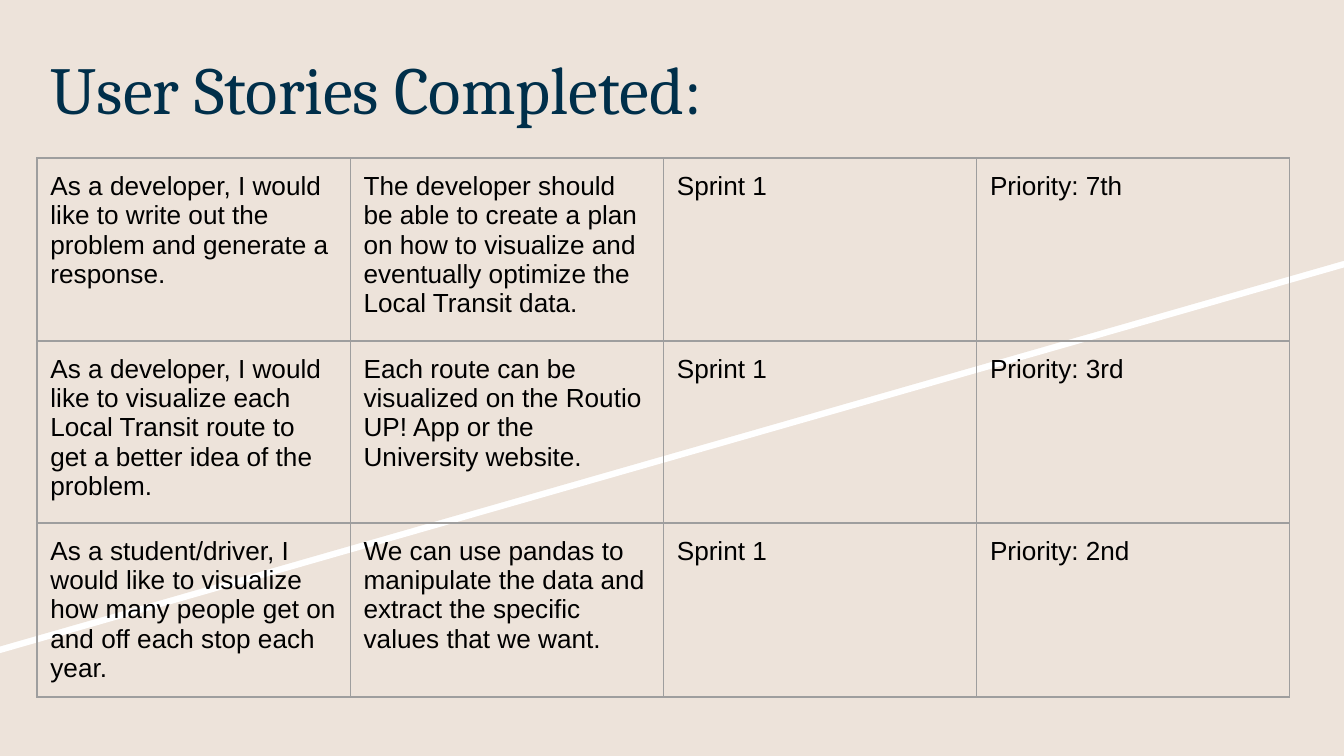
"""Build the completed user stories slide."""
import dataclasses
import typing

import lxml.etree
import pptx
import pptx.dml.color
import pptx.enum.text
import pptx.oxml.ns
import pptx.util

Pt = pptx.util.Pt
RGB = pptx.dml.color.RGBColor


@dataclasses.dataclass(frozen=True)
class Theme:
    """Colours, fonts and type sizes."""

    background: str = "EDE3DA"
    band: str = "FFFFFF"
    title: str = "002F4A"
    text: str = "000000"
    border: str = "9E9E9E"
    title_font: str = "Cambria"
    text_font: str = "Arial"
    title_size: float = 36
    text_size: float = 14
    border_width: float = 0.75
    inset: float = 7.2


@dataclasses.dataclass(frozen=True)
class Panel:
    """A full-width panel with a slanted lower edge."""

    top: float
    color: str


class Story(typing.NamedTuple):
    """One table row."""

    story: str
    criterion: str
    sprint: str
    priority: str


THEME = Theme()
SLIDE_WIDTH, SLIDE_HEIGHT = 720, 405
PANEL_RIGHT_HEIGHT, PANEL_LEFT_HEIGHT = 139.7, 346.3
PANELS = [Panel(3.6, THEME.band), Panel(0, THEME.background)]
TITLE_BOX = {"left": 19.9, "top": 16.6, "width": 671, "height": 60.5}
TABLE_LEFT, TABLE_TOP, COLUMN_WIDTH = 19.8, 84.7, 167.8
ROW_HEIGHTS = [98, 97.5, 93.2]
STORIES = [
    Story("As a developer, I would like to write out the problem and generate a response.",
          "The developer should be able to create a plan on how to visualize and "
          "eventually optimize the Local Transit data.",
          "Sprint 1", "Priority: 7th"),
    Story("As a developer, I would like to visualize each Local Transit route to get "
          "a better idea of the problem.",
          "Each route can be visualized on the Routio UP! App or the University website.",
          "Sprint 1", "Priority: 3rd"),
    Story("As a student/driver, I would like to visualize how many people get on and "
          "off each stop each year.",
          "We can use pandas to manipulate the data and extract the specific values "
          "that we want.",
          "Sprint 1", "Priority: 2nd"),
]


def set_attributes(target: typing.Any, values: dict[str, typing.Any]) -> None:
    """Set each named attribute on the target."""
    for name, value in values.items():
        setattr(target, name, value)


def format_font(paragraph: typing.Any, name: str, size: float, color: str) -> None:
    """Apply a regular font to a paragraph's runs."""
    for run in paragraph.runs:
        set_attributes(run.font, {"name": name, "size": Pt(size), "bold": False})
        run.font.color.rgb = RGB.from_string(color)


def inset_values(names: typing.Iterable[str]) -> dict[str, int]:
    """Return the common inset for each margin name."""
    return {name: Pt(THEME.inset) for name in names}


MARGINS = inset_values(["margin_left", "margin_top", "margin_right", "margin_bottom"])


def draw_panel(slide: typing.Any, panel: Panel) -> None:
    """Draw one slanted panel."""
    builder = slide.shapes.build_freeform(0, Pt(panel.top))
    builder.add_line_segments([
        (Pt(SLIDE_WIDTH), Pt(panel.top)),
        (Pt(SLIDE_WIDTH), Pt(panel.top + PANEL_RIGHT_HEIGHT)),
        (0, Pt(panel.top + PANEL_LEFT_HEIGHT)),
    ])
    shape = builder.convert_to_shape()
    shape.shadow.inherit = False
    shape.fill.solid()
    shape.fill.fore_color.rgb = RGB.from_string(panel.color)
    shape.line.fill.background()


def draw_title(slide: typing.Any, text: str) -> None:
    """Place the title in front of the panels."""
    title = slide.shapes.title
    title.element.getparent().append(title.element)
    set_attributes(title, {name: Pt(value) for name, value in TITLE_BOX.items()})
    frame = title.text_frame
    frame.text = text
    set_attributes(frame, MARGINS | {
        "word_wrap": True,
        "auto_size": pptx.enum.text.MSO_AUTO_SIZE.NONE,
        "vertical_anchor": pptx.enum.text.MSO_ANCHOR.MIDDLE,
    })
    paragraph = frame.paragraphs[0]
    paragraph.alignment = pptx.enum.text.PP_ALIGN.LEFT
    format_font(paragraph, THEME.title_font, THEME.title_size, THEME.title)


def draw_borders(cell: typing.Any) -> None:
    """Outline all four sides of a cell."""
    qn = pptx.oxml.ns.qn
    properties = cell._tc.get_or_add_tcPr()
    for index, side in enumerate(("a:lnL", "a:lnR", "a:lnT", "a:lnB")):
        line = lxml.etree.Element(qn(side), w=str(Pt(THEME.border_width)))
        fill = lxml.etree.SubElement(line, qn("a:solidFill"))
        lxml.etree.SubElement(fill, qn("a:srgbClr"), val=THEME.border)
        properties.insert(index, line)


def draw_table(slide: typing.Any, stories: list[Story]) -> None:
    """Draw the table of stories."""
    column_count = len(Story._fields)
    table = slide.shapes.add_table(
        len(stories), column_count, Pt(TABLE_LEFT), Pt(TABLE_TOP),
        Pt(COLUMN_WIDTH * column_count), Pt(sum(ROW_HEIGHTS))).table
    set_attributes(table, {"first_row": False, "horz_banding": False})
    for column in table.columns:
        column.width = Pt(COLUMN_WIDTH)
    for row, height, story in zip(table.rows, ROW_HEIGHTS, stories):
        row.height = Pt(height)
        for cell, text in zip(row.cells, story):
            cell.text = text
            set_attributes(cell, MARGINS)
            cell.fill.background()
            draw_borders(cell)
            format_font(cell.text_frame.paragraphs[0], THEME.text_font,
                        THEME.text_size, THEME.text)


def main() -> None:
    """Build and save the presentation."""
    presentation = pptx.Presentation()
    set_attributes(presentation, {"slide_width": Pt(SLIDE_WIDTH),
                                  "slide_height": Pt(SLIDE_HEIGHT)})
    slide = presentation.slides.add_slide(presentation.slide_layouts[5])
    slide.background.fill.solid()
    slide.background.fill.fore_color.rgb = RGB.from_string(THEME.background)
    for panel in PANELS:
        draw_panel(slide, panel)
    draw_title(slide, "User Stories Completed:")
    draw_table(slide, STORIES)
    presentation.save("out.pptx")


if __name__ == "__main__":
    main()
